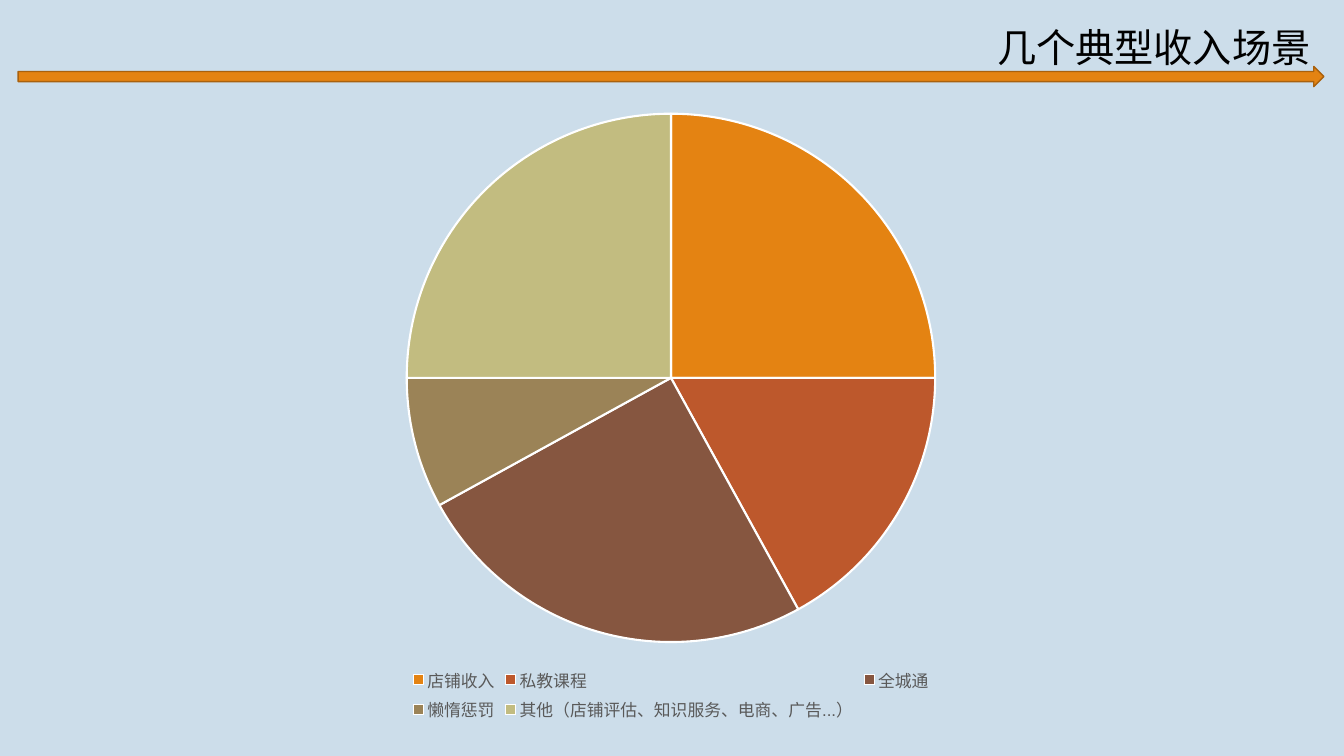
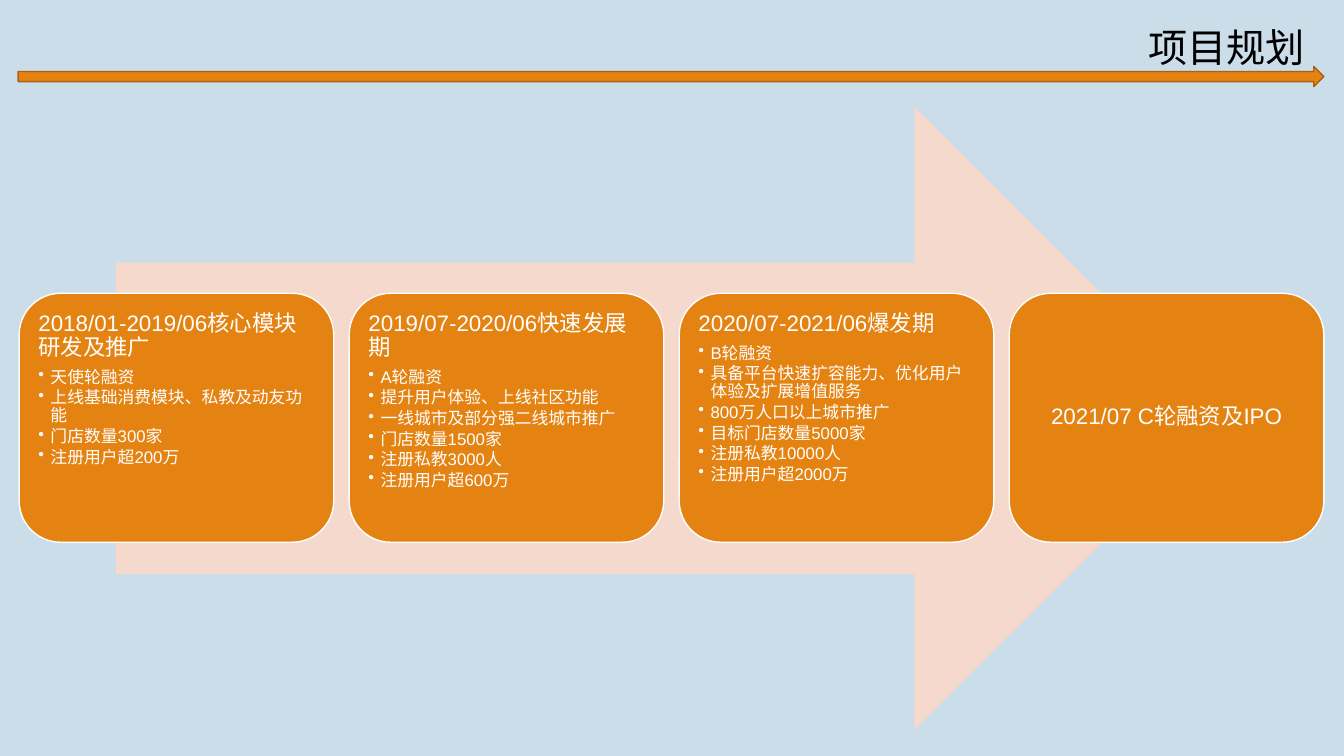
from pptx import Presentation
from pptx.chart.data import CategoryChartData
from pptx.dml.color import RGBColor
from pptx.enum.chart import XL_CHART_TYPE, XL_LEGEND_POSITION
from pptx.enum.shapes import MSO_SHAPE
from pptx.enum.text import MSO_ANCHOR, MSO_AUTO_SIZE, PP_ALIGN
from pptx.oxml.ns import qn
from pptx.util import Inches, Pt
from lxml.etree import SubElement

# Shared style
FONT = "Arial"
BACKGROUND = "CCDDEA"
ORANGE = "E48312"
DARK_ORANGE = "A9610D"
PALE_ORANGE = "F5D9CC"
WHITE = "FFFFFF"
BLACK = "000000"
GREY = "595959"
RIGHT_EDGE = 13.13

# Slide content
INCOME = [
    ("店铺收入", 25, ORANGE),
    ("私教课程", 17, "BD582C"),
    ("全城通", 25, "865640"),
    ("懒惰惩罚", 8, "9B8357"),
    ("其他（店铺评估、知识服务、电商、广告...）", 25, "C2BC80"),
]
PHASES = [
    ("2018/01-2019/06核心模块研发及推广",
     ["天使轮融资", "上线基础消费模块、私教及动友功能", "门店数量300家",
      "注册用户超200万"]),
    ("2019/07-2020/06快速发展期",
     ["A轮融资", "提升用户体验、上线社区功能", "一线城市及部分强二线城市推广",
      "门店数量1500家", "注册私教3000人", "注册用户超600万"]),
    ("2020/07-2021/06爆发期",
     ["B轮融资", "具备平台快速扩容能力、优化用户体验及扩展增值服务",
      "800万人口以上城市推广", "目标门店数量5000家", "注册私教10000人",
      "注册用户超2000万"]),
    ("2021/07 C轮融资及IPO", []),
]


def rgb(value):
    return RGBColor.from_string(value)


def format_font(font, size, color):
    font.name = FONT
    font.size = Pt(size)
    font.color.rgb = rgb(color)


def add_filled_shape(slide, kind, left, top, width, height, fill, line=None):
    shape = slide.shapes.add_shape(
        kind, Inches(left), Inches(top), Inches(width), Inches(height))
    shape.shadow.inherit = False
    shape.fill.solid()
    shape.fill.fore_color.rgb = rgb(fill)
    if line:
        shape.line.color.rgb = rgb(line)
        shape.line.width = Pt(1)
    else:
        shape.line.fill.background()
    return shape


def add_titled_slide(presentation, title, title_width):
    slide = presentation.slides.add_slide(presentation.slide_layouts[5])
    placeholder = slide.shapes.title
    placeholder.left = Inches(RIGHT_EDGE - title_width)
    placeholder.top = Inches(0.18)
    placeholder.width = Inches(title_width)
    placeholder.height = Inches(0.57)
    text_frame = placeholder.text_frame
    text_frame.text = title
    text_frame.word_wrap = False
    text_frame.auto_size = MSO_AUTO_SIZE.SHAPE_TO_FIT_TEXT
    text_frame.vertical_anchor = MSO_ANCHOR.TOP
    paragraph = text_frame.paragraphs[0]
    paragraph.alignment = PP_ALIGN.LEFT
    format_font(paragraph.runs[0].font, 28, BLACK)
    # Arrow rule under the title
    add_filled_shape(slide, MSO_SHAPE.RIGHT_ARROW, 0.18, 0.66, 12.95, 0.2,
                     ORANGE, DARK_ORANGE)
    return slide


def add_pie(slide, slices):
    names, values, colors = zip(*slices)
    chart_data = CategoryChartData()
    chart_data.categories = names
    chart_data.add_series("Series 1", values)
    chart = slide.shapes.add_chart(
        XL_CHART_TYPE.PIE, Inches(0.18), Inches(0.99), Inches(12.95),
        Inches(6.21), chart_data).chart
    chart.has_title = False
    format_font(chart.font, 10, BLACK)
    chart.has_legend = True
    chart.legend.position = XL_LEGEND_POSITION.BOTTOM
    chart.legend.include_in_layout = False
    format_font(chart.legend.font, 12, GREY)
    plot = chart.plots[0]
    plot.vary_by_categories = True
    for index, color in enumerate(colors):
        point_format = plot.series[0].points[index].format
        point_format.fill.solid()
        point_format.fill.fore_color.rgb = rgb(color)
        point_format.line.color.rgb = rgb(WHITE)
        point_format.line.width = Pt(1.5)


def format_card_text(paragraph, size, space_share, alignment):
    paragraph.alignment = alignment
    paragraph.line_spacing = 0.9
    paragraph.space_after = Pt(size * space_share)
    format_font(paragraph.runs[0].font, size, WHITE)


def add_bullet(paragraph):
    paragraph.level = 1
    properties = paragraph._p.get_or_add_pPr()
    properties.set("marL", str(Inches(0.12)))
    properties.set("indent", str(-Inches(0.12)))
    SubElement(properties, qn("a:buChar")).set("char", "•")


def add_phase_card(slide, left, width, heading, points):
    card = add_filled_shape(slide, MSO_SHAPE.ROUNDED_RECTANGLE, left, 2.91,
                            width, 2.47, ORANGE, WHITE)
    text_frame = card.text_frame
    text_frame.word_wrap = True
    text_frame.margin_left = text_frame.margin_right = Inches(0.07)
    text_frame.margin_top = text_frame.margin_bottom = Inches(0.07)
    text_frame.vertical_anchor = MSO_ANCHOR.TOP if points else MSO_ANCHOR.MIDDLE
    text_frame.text = heading
    alignment = PP_ALIGN.LEFT if points else PP_ALIGN.CENTER
    format_card_text(text_frame.paragraphs[0], 16, 0.35, alignment)
    for point in points:
        paragraph = text_frame.add_paragraph()
        paragraph.text = point
        format_card_text(paragraph, 12, 0.15, PP_ALIGN.LEFT)
        add_bullet(paragraph)


def add_roadmap(slide, phases):
    add_filled_shape(slide, MSO_SHAPE.RIGHT_ARROW, 1.15, 1.06, 11.01, 6.18,
                     PALE_ORANGE)
    first_left, width = 0.19, 3.12
    step = (RIGHT_EDGE - width - first_left) / (len(phases) - 1)
    for index, (heading, points) in enumerate(phases):
        add_phase_card(slide, first_left + index * step, width, heading, points)


def main():
    presentation = Presentation()
    presentation.slide_width = Inches(13.33)
    presentation.slide_height = Inches(7.5)
    background = presentation.slide_master.background.fill
    background.solid()
    background.fore_color.rgb = rgb(BACKGROUND)

    # Income pie
    add_pie(add_titled_slide(presentation, "几个典型收入场景", 3.34), INCOME)
    # Project roadmap
    add_roadmap(add_titled_slide(presentation, "项目规划", 1.84), PHASES)

    presentation.save("out.pptx")


main()
